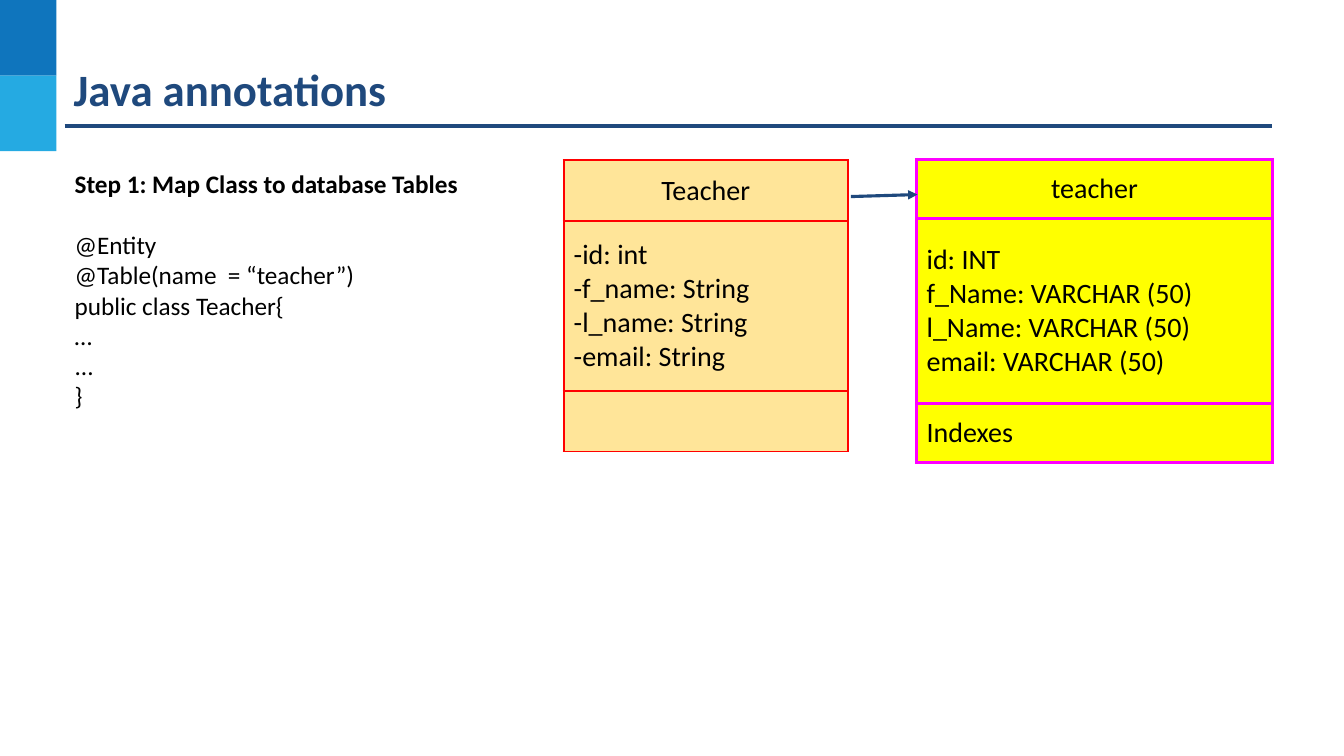
import dataclasses

import lxml.etree
import pptx
import pptx.dml.color
import pptx.enum.shapes
import pptx.enum.text
import pptx.oxml.ns
import pptx.oxml.xmlchemy
import pptx.slide
import pptx.text.text
import pptx.util

Inches = pptx.util.Inches
Pt = pptx.util.Pt
RGBColor = pptx.dml.color.RGBColor
Align = pptx.enum.text.PP_ALIGN
Anchor = pptx.enum.text.MSO_ANCHOR
qn = pptx.oxml.ns.qn

NAVY = RGBColor(0x1F, 0x49, 0x7D)
DARK_BLUE = RGBColor(0x0F, 0x75, 0xBD)
LIGHT_BLUE = RGBColor(0x25, 0xAA, 0xE2)
BLACK = RGBColor(0, 0, 0)
RED = RGBColor(0xFF, 0, 0)
CREAM = RGBColor(0xFF, 0xE5, 0x99)
MAGENTA = RGBColor(0xFF, 0, 0xFF)
YELLOW = RGBColor(0xFF, 0xFF, 0)
FONT = "Calibri"
BAND_SIZE = (0.56, 0.75)
STEP = "Step 1: Map Class to database Tables"
CODE = ["@Entity", "@Table(name  = “teacher”)", "public class Teacher{", "…", "...", "}"]


@dataclasses.dataclass(frozen=True)
class Diagram:
    left: float
    top: float
    width: float
    heights: tuple[float, ...]
    texts: tuple[str, ...]
    fill: RGBColor
    border: RGBColor
    border_width: float


@dataclasses.dataclass(frozen=True)
class Line:
    start: tuple[float, float]
    end: tuple[float, float]
    arrow: bool = False


DIAGRAMS = [
    Diagram(5.59, 1.59, 2.82, (0.6, 1.69, 0.6),
            ("Teacher", "-id: int\n-f_name: String\n-l_name: String\n-email: String", ""),
            CREAM, RED, 1.5),
    Diagram(9.09, 1.58, 3.53, (0.59, 1.83, 0.59),
            ("teacher",
             "id: INT\nf_Name: VARCHAR (50)\nl_Name: VARCHAR (50)\nemail: VARCHAR (50)",
             "Indexes"),
            YELLOW, MAGENTA, 2.25),
]
LINES = [
    Line((8.44, 1.95), (9.1, 1.93), arrow=True),
    Line((0.64, 1.25), (12.62, 1.25)),
]


def format_text(frame: pptx.text.text.TextFrame, size: float, color: RGBColor,
                bold: bool = False) -> None:
    for para in frame.paragraphs:
        for span in para.runs:
            span.font.name = FONT
            span.font.size = Pt(size)
            span.font.bold = bold
            span.font.color.rgb = color


def place(box: pptx.shapes.base.BaseShape, left: float, top: float,
          width: float, height: float) -> None:
    box.left, box.top = Inches(left), Inches(top)
    box.width, box.height = Inches(width), Inches(height)


def add_bands(page: pptx.slide.Slide) -> None:
    width, height = BAND_SIZE
    for index, color in enumerate((DARK_BLUE, LIGHT_BLUE)):
        band = page.shapes.add_shape(
            pptx.enum.shapes.MSO_SHAPE.RECTANGLE,
            0, Inches(index * height), Inches(width), Inches(height))
        band.shadow.inherit = False
        band.fill.solid()
        band.fill.fore_color.rgb = color
        band.line.fill.background()


def fill_title(page: pptx.slide.Slide) -> None:
    title = page.shapes.title
    place(title, 0.63, 0.56, 8.75, 0.64)
    frame = title.text_frame
    frame.text = "Java annotations"
    frame.vertical_anchor = Anchor.MIDDLE
    frame.auto_size = pptx.enum.text.MSO_AUTO_SIZE.NONE
    frame.paragraphs[0].alignment = Align.LEFT
    format_text(frame, 32, NAVY, bold=True)


def fill_body(page: pptx.slide.Slide) -> None:
    body = page.placeholders[1]
    place(body, 0.64, 1.57, 10.15, 2.93)
    frame = body.text_frame
    frame.text = "\n".join([STEP, *CODE])
    frame.auto_size = pptx.enum.text.MSO_AUTO_SIZE.NONE
    frame.margin_top = frame.margin_bottom = Inches(0.1)
    format_text(frame, 18, BLACK)
    for para in frame.paragraphs:
        para.space_before = Pt(0)
        properties = para._p.get_or_add_pPr()
        properties.set("marL", "0")
        properties.set("indent", "0")
        lxml.etree.SubElement(properties, qn("a:buNone"))
    heading = frame.paragraphs[0]
    heading.runs[0].font.bold = True
    heading.space_after = Pt(22)


def add_borders(properties: pptx.oxml.xmlchemy.BaseOxmlElement,
                color: RGBColor, width: float) -> None:
    for side in ("lnL", "lnR", "lnT", "lnB"):
        edge = lxml.etree.SubElement(properties, qn(f"a:{side}"), w=str(Pt(width)))
        solid = lxml.etree.SubElement(edge, qn("a:solidFill"))
        lxml.etree.SubElement(solid, qn("a:srgbClr"), val=str(color))


def add_diagram(page: pptx.slide.Slide, diagram: Diagram) -> None:
    table = page.shapes.add_table(
        len(diagram.heights), 1, Inches(diagram.left), Inches(diagram.top),
        Inches(diagram.width), Inches(sum(diagram.heights))).table
    table.first_row = False
    table.horz_banding = False
    for index, (height, text) in enumerate(zip(diagram.heights, diagram.texts)):
        table.rows[index].height = Inches(height)
        cell = table.cell(index, 0)
        add_borders(cell._tc.get_or_add_tcPr(), diagram.border, diagram.border_width)
        cell.fill.solid()
        cell.fill.fore_color.rgb = diagram.fill
        cell.vertical_anchor = Anchor.MIDDLE
        cell.margin_left = cell.margin_right = Inches(0.1)
        cell.margin_top = cell.margin_bottom = Inches(0.1)
        cell.text_frame.text = text
        format_text(cell.text_frame, 20, BLACK)
    table.cell(0, 0).text_frame.paragraphs[0].alignment = Align.CENTER


def add_line(page: pptx.slide.Slide, line: Line) -> None:
    connector = page.shapes.add_connector(
        pptx.enum.shapes.MSO_CONNECTOR.STRAIGHT,
        *map(Inches, line.start), *map(Inches, line.end))
    connector.line.color.rgb = NAVY
    connector.line.width = Pt(2.25)
    if line.arrow:
        lxml.etree.SubElement(connector.line._get_or_add_ln(), qn("a:tailEnd"), type="triangle")
    lxml.etree.SubElement(connector._element.spPr, qn("a:effectLst"))


def main() -> None:
    deck = pptx.Presentation()
    deck.slide_width = Inches(13.33)
    deck.slide_height = Inches(7.5)
    page = deck.slides.add_slide(deck.slide_layouts[1])
    add_bands(page)
    fill_title(page)
    fill_body(page)
    for diagram in DIAGRAMS:
        add_diagram(page, diagram)
    for line in LINES:
        add_line(page, line)
    deck.save("out.pptx")


if __name__ == "__main__":
    main()
